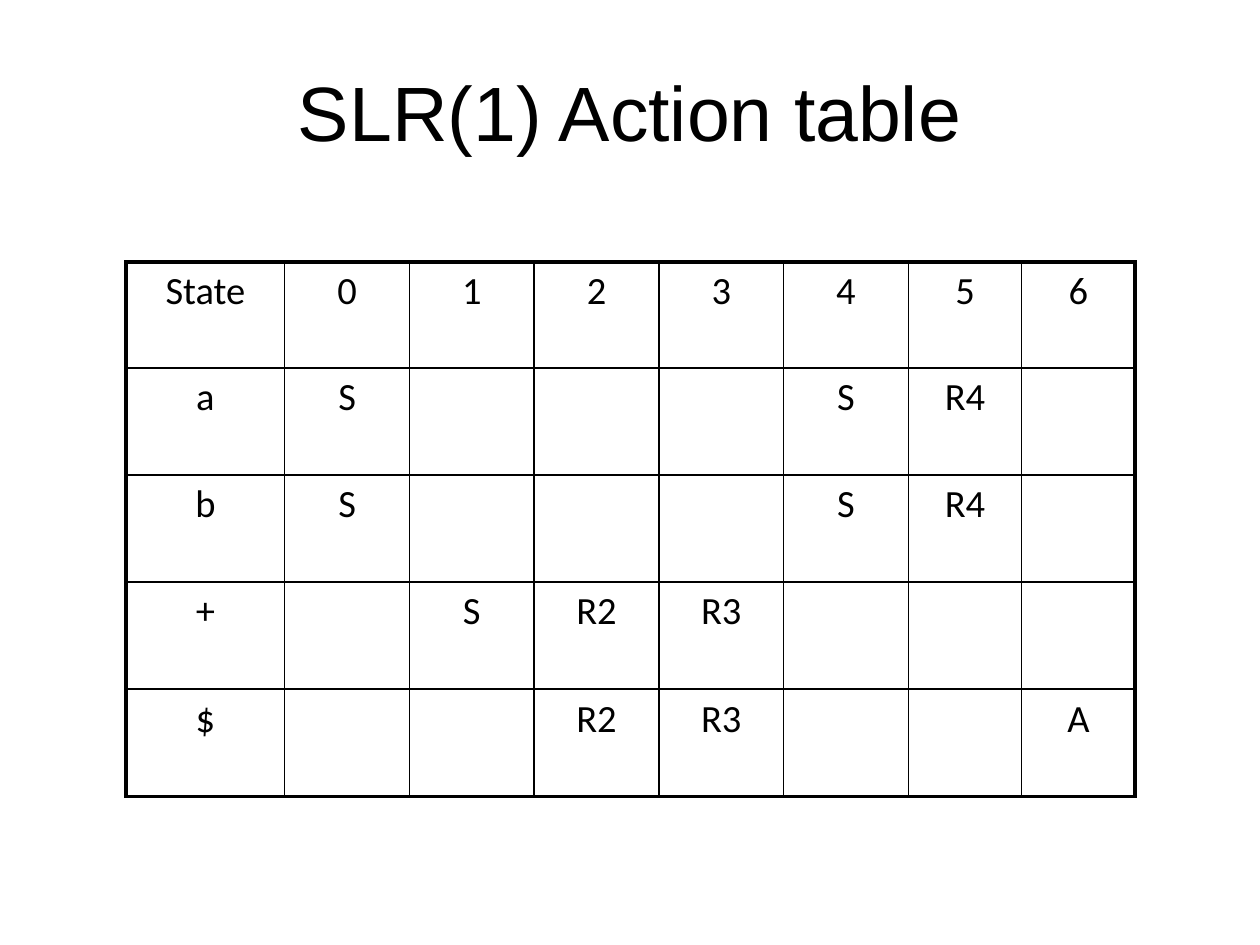
from lxml.etree import SubElement
from pptx import Presentation
from pptx.dml.color import RGBColor
from pptx.enum.text import MSO_ANCHOR, PP_ALIGN
from pptx.oxml.ns import qn
from pptx.util import Inches, Pt

BLACK = "000000"
THIN, THICK = 1, 2.25
COL_WIDTHS = [1.26] + [0.99] * 5 + [0.9] * 2
ROW_HEIGHTS = [0.84] + [0.85] * 4
ACTIONS = [
    ["State", "0", "1", "2", "3", "4", "5", "6"],
    ["a", "S", "", "", "", "S", "R4", ""],
    ["b", "S", "", "", "", "S", "R4", ""],
    ["+", "", "S", "R2", "R3", "", "", ""],
    ["$", "", "", "R2", "R3", "", "", "A"],
]


def color(value):
    """Turn a hex string into a colour."""
    return RGBColor.from_string(value)


def add_run(p, text, font, size):
    """Add a centred black run to a paragraph."""
    p.alignment = PP_ALIGN.CENTER
    r = p.add_run()
    r.text = text
    r.font.name = font
    r.font.size = Pt(size)
    r.font.color.rgb = color(BLACK)


def set_space_before(p, percent):
    """Set the space before a paragraph as a share of its line."""
    spacing = SubElement(p._p.get_or_add_pPr(), qn("a:spcBef"))
    SubElement(spacing, qn("a:spcPct"), val=str(percent * 1000))


def add_border(cell, side, width):
    """Draw one side (L, R, T or B) of a cell."""
    props = cell._tc.get_or_add_tcPr()
    ln = SubElement(props, qn(f"a:ln{side}"), w=str(Pt(width)))
    fill = SubElement(ln, qn("a:solidFill"))
    SubElement(fill, qn("a:srgbClr"), val=BLACK)


def add_title(s, text):
    """Place and fill the title."""
    sp = s.shapes.title
    sp.left, sp.top = Inches(0.5), Inches(0.25)
    sp.width, sp.height = Inches(9), Inches(1.25)
    tf = sp.text_frame
    tf.vertical_anchor = MSO_ANCHOR.MIDDLE
    add_run(tf.paragraphs[0], text, "Arial", 44)


def add_action_table(s, rows):
    """Add the table with thin inner lines and a thick frame."""
    last_row, last_col = len(rows) - 1, len(rows[0]) - 1
    frame = s.shapes.add_table(len(rows), len(rows[0]), Inches(1), Inches(2.08),
                               Inches(8), Inches(4.25))
    table = frame.table
    table.first_row = table.horz_banding = False
    for col, width in zip(table.columns, COL_WIDTHS):
        col.width = Inches(width)
    for row, height in zip(table.rows, ROW_HEIGHTS):
        row.height = Inches(height)
    for i, row in enumerate(rows):
        for j, text in enumerate(row):
            cell = table.cell(i, j)
            outer = {"L": j == 0, "R": j == last_col, "T": i == 0, "B": i == last_row}
            for side, is_outer in outer.items():
                add_border(cell, side, THICK if is_outer else THIN)
            cell.fill.background()
            if text:
                p = cell.text_frame.paragraphs[0]
                set_space_before(p, 20)
                add_run(p, text, "Calibri", 22)


def main():
    """Build the slide."""
    prs = Presentation()
    prs.slide_width, prs.slide_height = Inches(10), Inches(7.5)
    s = prs.slides.add_slide(prs.slide_layouts[5])
    add_title(s, "SLR(1) Action table")
    add_action_table(s, ACTIONS)
    prs.save("out.pptx")


if __name__ == "__main__":
    main()
